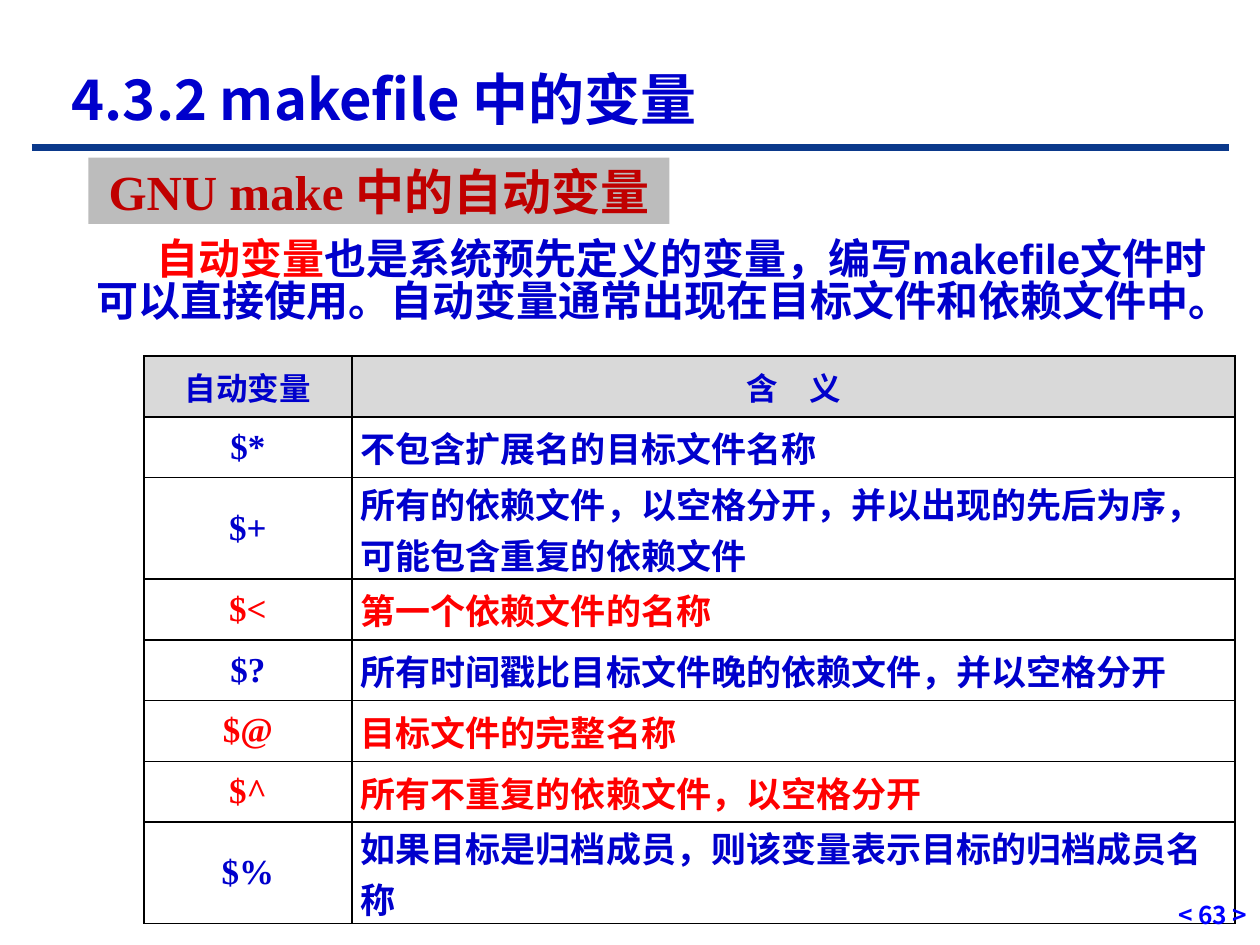
from lxml import etree
from pptx import Presentation
from pptx.dml.color import RGBColor
from pptx.enum import shapes, text
from pptx.oxml.ns import qn
from pptx.util import Pt

BLUE = RGBColor(0x00, 0x00, 0xCC)
RED = RGBColor(0xFF, 0x00, 0x00)
DARK_RED = RGBColor(0xC0, 0x00, 0x00)
PAGE_BLUE = RGBColor(0x00, 0x00, 0xFF)
RULE_BLUE = RGBColor(0x0B, 0x39, 0x8B)
GREY = RGBColor(0xBC, 0xBC, 0xBC)
HEADER_GREY = RGBColor(0xD9, 0xD9, 0xD9)
WHITE = RGBColor(0xFF, 0xFF, 0xFF)

HAN = "Noto Sans CJK SC"
SERIF = "Times New Roman"

# variable, meaning, colour, row height
VARIABLES = [
    ("$*", "不包含扩展名的目标文件名称", BLUE, 34.7),
    ("$+", "所有的依赖文件，以空格分开，并以出现的先后为序，可能包含重复的依赖文件", BLUE, 48.5),
    ("$<", "第一个依赖文件的名称", RED, 34.7),
    ("$?", "所有时间戳比目标文件晚的依赖文件，并以空格分开", BLUE, 34.7),
    ("$@", "目标文件的完整名称", RED, 34.7),
    ("$^", "所有不重复的依赖文件，以空格分开", RED, 34.7),
    ("$%", "如果目标是归档成员，则该变量表示目标的归档成员名称", BLUE, 49.5),
]


def add_span(para, words, size, font, colour):
    """Add one bold run, with Chinese characters in the Han font."""
    span = para.add_run()
    span.text = words
    span.font.size = Pt(size)
    span.font.bold = True
    span.font.name = font
    span.font.color.rgb = colour
    east_asian = etree.Element(qn("a:ea"), typeface=HAN)
    span.font._element.find(qn("a:latin")).addnext(east_asian)


def set_frame(frame, anchor):
    frame.word_wrap = True
    frame.auto_size = text.MSO_AUTO_SIZE.NONE
    frame.vertical_anchor = anchor
    return frame.paragraphs[0]


def place_title(page, left, top, width, height):
    title = page.shapes.title
    title.left, title.top = Pt(left), Pt(top)
    title.width, title.height = Pt(width), Pt(height)
    para = set_frame(title.text_frame, text.MSO_ANCHOR.MIDDLE)
    para.alignment = text.PP_ALIGN.LEFT
    add_span(para, "4.3.2 makefile 中的变量", 32, HAN, BLUE)


def add_rule(page, left, top, width):
    rule = page.shapes.add_connector(
        shapes.MSO_CONNECTOR.STRAIGHT, Pt(left), Pt(top), Pt(left + width), Pt(top))
    rule.line.color.rgb = RULE_BLUE
    rule.line.width = Pt(4.5)
    etree.SubElement(rule._element.spPr, qn("a:effectLst"))


def add_topic(page, left, top, width, height):
    box = page.shapes.add_shape(
        shapes.MSO_SHAPE.RECTANGLE, Pt(left), Pt(top), Pt(width), Pt(height))
    box.shadow.inherit = False
    box.fill.solid()
    box.fill.fore_color.rgb = GREY
    box.line.fill.background()
    para = set_frame(box.text_frame, text.MSO_ANCHOR.MIDDLE)
    para.alignment = text.PP_ALIGN.CENTER
    add_span(para, "GNU make 中的自动变量", 28, SERIF, DARK_RED)


def add_introduction(page, left, top, width, height):
    box = page.shapes.add_textbox(Pt(left), Pt(top), Pt(width), Pt(height))
    para = set_frame(box.text_frame, text.MSO_ANCHOR.TOP)
    para.line_spacing = 0.82
    para._p.get_or_add_pPr().set("indent", str(Pt(34)))
    add_span(para, "自动变量", 24, "Arial", RED)
    add_span(para, "也是系统预先定义的变量，编写makefile文件时可以直接使用。"
                   "自动变量通常出现在目标文件和依赖文件中。", 24, "Arial", BLUE)


def fill_cell(cell, words, size, font, colour, align, fill):
    cell.margin_left = cell.margin_right = Pt(5)
    cell.margin_top = cell.margin_bottom = 0
    cell.vertical_anchor = text.MSO_ANCHOR.MIDDLE
    para = cell.text_frame.paragraphs[0]
    para.alignment = align
    add_span(para, words, size, font, colour)
    properties = cell._tc.get_or_add_tcPr()
    for side in ("lnL", "lnR", "lnT", "lnB"):
        border = etree.SubElement(properties, qn(f"a:{side}"), w=str(Pt(1)))
        paint = etree.SubElement(border, qn("a:solidFill"))
        etree.SubElement(paint, qn("a:srgbClr"), val="000000")
    cell.fill.solid()
    cell.fill.fore_color.rgb = fill


def add_variable_table(page, left, top, widths):
    heights = [34.7] + [height for *_, height in VARIABLES]
    table = page.shapes.add_table(
        len(heights), len(widths), Pt(left), Pt(top),
        Pt(sum(widths)), Pt(sum(heights))).table
    for column, width in zip(table.columns, widths):
        column.width = Pt(width)
    for row, height in zip(table.rows, heights):
        row.height = Pt(height)
    centre, start = text.PP_ALIGN.CENTER, text.PP_ALIGN.LEFT
    for column, heading in enumerate(("自动变量", "含　义")):
        fill_cell(table.cell(0, column), heading, 18, HAN, BLUE, centre, HEADER_GREY)
    for row, (name, meaning, colour, _) in enumerate(VARIABLES, 1):
        fill_cell(table.cell(row, 0), name, 20, SERIF, colour, centre, WHITE)
        fill_cell(table.cell(row, 1), meaning, 20, HAN, colour, start, WHITE)


def add_page_number(page, left, top, width, height):
    box = page.shapes.add_textbox(Pt(left), Pt(top), Pt(width), Pt(height))
    para = set_frame(box.text_frame, text.MSO_ANCHOR.BOTTOM)
    para.alignment = text.PP_ALIGN.RIGHT
    add_span(para, "< 63 >", 14, "Noto Sans CJK JP", PAGE_BLUE)


def main():
    deck = Presentation()
    deck.slide_width, deck.slide_height = Pt(720), Pt(540)
    page = deck.slides.add_slide(deck.slide_layouts[5])
    add_rule(page, 18, 84.3, 684)
    add_introduction(page, 48.2, 134.6, 663, 61)
    add_variable_table(page, 82.3, 203.5, (118.8, 504.7))
    place_title(page, 33.8, 33.8, 579.6, 44.6)
    add_topic(page, 50.6, 90, 332, 38)
    add_page_number(page, 649.4, 504.7, 70.6, 30.2)
    deck.save("out.pptx")


if __name__ == "__main__":
    main()
